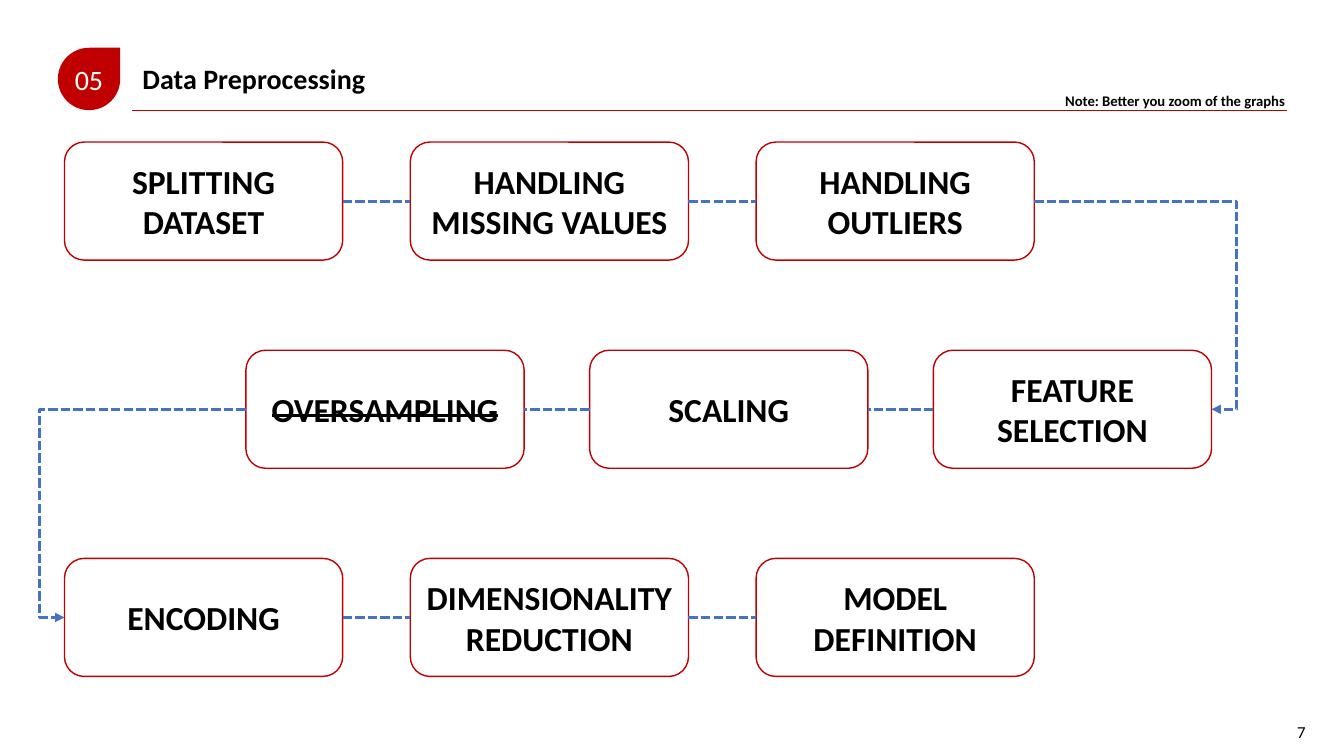
from dataclasses import dataclass

from lxml.etree import SubElement
from pptx import Presentation
from pptx.dml.color import RGBColor
from pptx.enum.dml import MSO_LINE
from pptx.enum.shapes import MSO_CONNECTOR as Link, MSO_SHAPE as Shape
from pptx.enum.text import MSO_ANCHOR as Anchor, PP_ALIGN as Align
from pptx.oxml.ns import qn
from pptx.util import Pt

SECTION, TITLE, PAGE = "05", "Data Preprocessing", "7"
NOTE = "Note: Better you zoom of the graphs"
STEP_ROWS = [
    ["SPLITTING DATASET", "HANDLING MISSING VALUES", "HANDLING OUTLIERS"],
    ["FEATURE SELECTION", "SCALING", "OVERSAMPLING"],
    ["ENCODING", "DIMENSIONALITY REDUCTION", "MODEL DEFINITION"],
]
DROPPED_STEPS = {"OVERSAMPLING"}

FORWARD, BACKWARD = (46.1, 247), (666.7, -245.5)
ROW_LAYOUT = [FORWARD, BACKWARD, FORWARD]
ROW_TOP, ROW_PITCH = 101.5, 148.7
STEP_WIDTH, STEP_HEIGHT = 198.7, 84.3
TURN_OVERHANG = 18
LEFT_SITE, RIGHT_SITE = 1, 3


@dataclass(frozen=True)
class Theme:
    """Colours, font and type sizes of the slide."""
    font: str = "Calibri"
    accent: RGBColor = RGBColor(0xC0, 0x00, 0x00)
    flow: RGBColor = RGBColor(0x44, 0x72, 0xC4)
    ink: RGBColor = RGBColor(0x00, 0x00, 0x00)
    paper: RGBColor = RGBColor(0xFF, 0xFF, 0xFF)
    heading: float = 20
    step: float = 24
    note: float = 10.5
    page: float = 12


THEME = Theme()


def write(holder, text, size, color=THEME.ink, bold=False, align=Align.CENTER,
          wrap=True, inset=7.2):
    """Set one formatted, vertically centred paragraph and return its run."""
    frame = holder.text_frame
    frame.text = text
    frame.word_wrap = wrap
    frame.vertical_anchor = Anchor.MIDDLE
    frame.margin_left = frame.margin_right = Pt(inset)
    frame.margin_top = frame.margin_bottom = Pt(3.6)
    paragraph = frame.paragraphs[0]
    paragraph.alignment = align
    run = paragraph.runs[0]
    run.font.name, run.font.size, run.font.bold = THEME.font, Pt(size), bold
    run.font.color.rgb = color
    return run


def add_link(slide, kind, ends, color, width):
    """Draw a flat connector between two points."""
    link = slide.shapes.add_connector(kind, *map(Pt, ends))
    link.line.color.rgb = color
    link.line.width = Pt(width)
    SubElement(link._element.spPr, qn("a:effectLst"))
    return link


def add_header(slide):
    """Place the section badge, title, rule, note and page number."""
    badge = slide.shapes.add_shape(Shape.TEAR, Pt(41.3), Pt(34.1), Pt(44.6), Pt(44.6))
    badge.shadow.inherit = False
    badge.fill.solid()
    badge.fill.fore_color.rgb = THEME.accent
    badge.line.fill.background()
    write(badge, SECTION, THEME.heading, THEME.paper, wrap=False, inset=0)

    title = slide.shapes.title
    title.left, title.top, title.width, title.height = map(Pt, (94.5, 40.5, 400, 31.5))
    write(title, TITLE, THEME.heading, bold=True, align=Align.LEFT)

    add_link(slide, Link.STRAIGHT, (94.5, 78.8, 919.6, 78.8), THEME.accent, 0.5)
    note = slide.shapes.add_textbox(Pt(753.8), Pt(62), Pt(181.4), Pt(20))
    write(note, NOTE, THEME.note, bold=True, align=Align.JUSTIFY)
    page = slide.shapes.add_textbox(Pt(913), Pt(507), Pt(33), Pt(31.5))
    write(page, PAGE, THEME.page)


def add_step(slide, label, left, top):
    """Draw one step of the flow."""
    step = slide.shapes.add_shape(
        Shape.ROUNDED_RECTANGLE, Pt(left), Pt(top), Pt(STEP_WIDTH), Pt(STEP_HEIGHT))
    step.shadow.inherit = False
    step.fill.background()
    step.line.color.rgb = THEME.accent
    step.line.width = Pt(1)
    run = write(step, label, THEME.step, bold=True, inset=3)
    if label in DROPPED_STEPS:
        run._r.get_or_add_rPr().set("strike", "sngStrike")
    return step


def join(slide, start, end, start_site, end_site, turn=False):
    """Connect two steps, going round the outer side at the end of a row."""
    kind = Link.ELBOW if turn else Link.STRAIGHT
    link = add_link(slide, kind, (0, 0, 0, 0), THEME.flow, 2.25)
    link.line.dash_style = MSO_LINE.SQUARE_DOT
    link.begin_connect(start, start_site)
    link.end_connect(end, end_site)
    if turn:
        bend = round(100000 * (1 + Pt(TURN_OVERHANG) / link.width))
        guides = link._element.spPr.prstGeom.get_or_add_avLst()
        SubElement(guides, qn("a:gd"), name="adj1", fmla=f"val {bend}")
        SubElement(link.line._get_or_add_ln(), qn("a:tailEnd"), type="triangle")


def add_flow(slide):
    """Lay out the rows of steps as a snake and connect them in order."""
    previous = None
    for row, (labels, (start, pitch)) in enumerate(zip(STEP_ROWS, ROW_LAYOUT)):
        entry, leave = (LEFT_SITE, RIGHT_SITE) if pitch > 0 else (RIGHT_SITE, LEFT_SITE)
        for column, label in enumerate(labels):
            step = add_step(slide, label, start + column * pitch, ROW_TOP + row * ROW_PITCH)
            if previous is not None:
                turn = column == 0
                join(slide, previous, step, entry if turn else leave, entry, turn)
            previous = step


def main():
    """Build and save the slide."""
    deck = Presentation()
    deck.slide_width, deck.slide_height = Pt(960), Pt(540)
    slide = deck.slides.add_slide(deck.slide_layouts[5])
    add_header(slide)
    add_flow(slide)
    deck.save("out.pptx")


if __name__ == "__main__":
    main()
